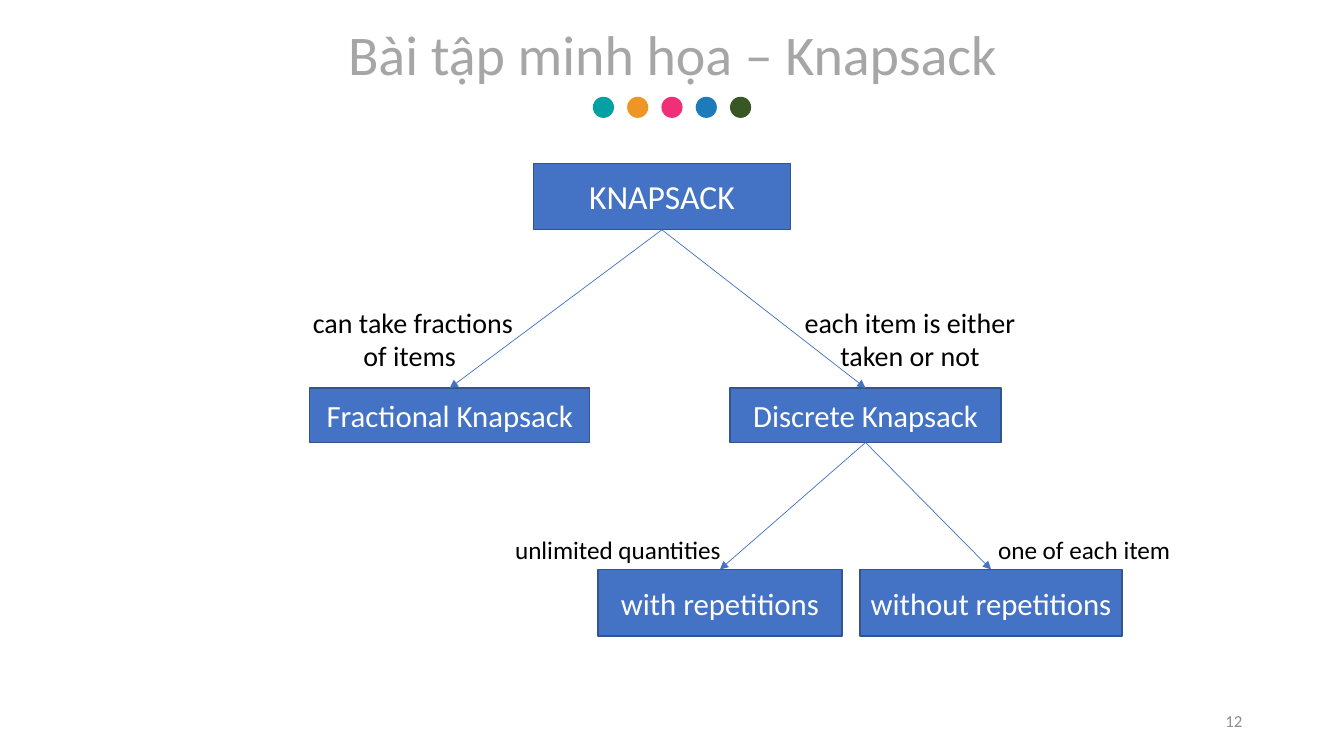
from lxml import etree
from pptx import Presentation
from pptx.dml.color import RGBColor as RGB
from pptx.enum.shapes import MSO_CONNECTOR as CONN, MSO_SHAPE as SHAPE
from pptx.enum.text import MSO_ANCHOR as ANCHOR, PP_ALIGN as ALIGN
from pptx.oxml.ns import qn
from pptx.util import Pt

PX = 9144  # EMU per px, 100 px to the inch

THEME = {
    "font": "Calibri",
    "title": "A6A6A6", "label": "000000", "number": "8C8C8C",
    "box": "4472C4", "edge": "325491", "box_text": "FFFFFF",
    "dots": ["03A1A4", "EE9524", "EF3078", "1C7CBB", "385723"],
    "title_pt": 40, "root_pt": 24, "node_pt": 22,
    "choice_pt": 20, "quantity_pt": 18, "number_pt": 12,
}


def write(sp, text, size, color, align, anchor, wrap=True):
    tf = sp.text_frame
    tf.word_wrap, tf.vertical_anchor = wrap, anchor
    p = tf.paragraphs[0]
    p.alignment = align
    r = p.add_run()
    r.text = text
    for name, value in {"name": THEME["font"], "size": Pt(THEME[size])}.items():
        setattr(r.font, name, value)
    r.font.color.rgb = RGB.from_string(THEME[color])


def add_filled(kind, box, color):
    sp = s.shapes.add_shape(kind, *[v * PX for v in box])
    sp.shadow.inherit = False
    sp.fill.solid()
    sp.fill.fore_color.rgb = RGB.from_string(color)
    return sp


prs = Presentation()
prs.slide_width, prs.slide_height = 1333 * PX, 750 * PX
s = prs.slides.add_slide(prs.slide_layouts[6])

# Row of dots under the title
for i, color in enumerate(THEME["dots"]):
    dot = add_filled(SHAPE.OVAL, (588 + 34 * i, 96, 21, 21), color)
    dot.line.fill.background()

# Tree nodes
nodes = {}
for name, box, size in [
    ("KNAPSACK", (529, 162, 255, 66), "root_pt"),
    ("Fractional Knapsack", (307, 385, 278, 54), "node_pt"),
    ("Discrete Knapsack", (724, 385, 269, 54), "node_pt"),
    ("with repetitions", (593, 565, 242, 66), "node_pt"),
    ("without repetitions", (853, 565, 260, 66), "node_pt"),
]:
    sp = nodes[name] = add_filled(SHAPE.RECTANGLE, box, THEME["box"])
    sp.line.color.rgb = RGB.from_string(THEME["edge"])
    sp.line.width = Pt(1)
    write(sp, name, size, "box_text", ALIGN.CENTER, ANCHOR.MIDDLE, wrap=False)

# Branches from each parent's bottom to each child's top
for parent, child in [
    ("KNAPSACK", "Fractional Knapsack"),
    ("KNAPSACK", "Discrete Knapsack"),
    ("Discrete Knapsack", "with repetitions"),
    ("Discrete Knapsack", "without repetitions"),
]:
    branch = s.shapes.add_connector(CONN.STRAIGHT, 0, 0, 0, 0)
    branch.begin_connect(nodes[parent], 2)
    branch.end_connect(nodes[child], 0)
    branch.line.color.rgb = RGB.from_string(THEME["box"])
    branch.line.width = Pt(0.5)
    etree.SubElement(branch.line._get_or_add_ln(), qn("a:tailEnd"), type="triangle")
    etree.SubElement(branch._element.spPr, qn("a:effectLst"))

# Title, branch labels and slide number
for text, box, size, color, align, anchor in [
    ("Bài tập minh họa – Knapsack", (269, 14, 796, 77),
     "title_pt", "title", ALIGN.CENTER, ANCHOR.TOP),
    ("can take fractions of items ", (298, 298, 223, 77),
     "choice_pt", "label", ALIGN.CENTER, ANCHOR.TOP),
    ("each item is either taken or not", (768, 298, 269, 77),
     "choice_pt", "label", ALIGN.CENTER, ANCHOR.TOP),
    ("unlimited quantities", (501, 525, 229, 40),
     "quantity_pt", "label", ALIGN.LEFT, ANCHOR.TOP),
    ("one of each item", (980, 525, 202, 40),
     "quantity_pt", "label", ALIGN.LEFT, ANCHOR.TOP),
    ("12", (942, 695, 300, 40),
     "number_pt", "number", ALIGN.RIGHT, ANCHOR.MIDDLE),
]:
    tb = s.shapes.add_textbox(*[v * PX for v in box])
    write(tb, text, size, color, align, anchor)

prs.save("out.pptx")
